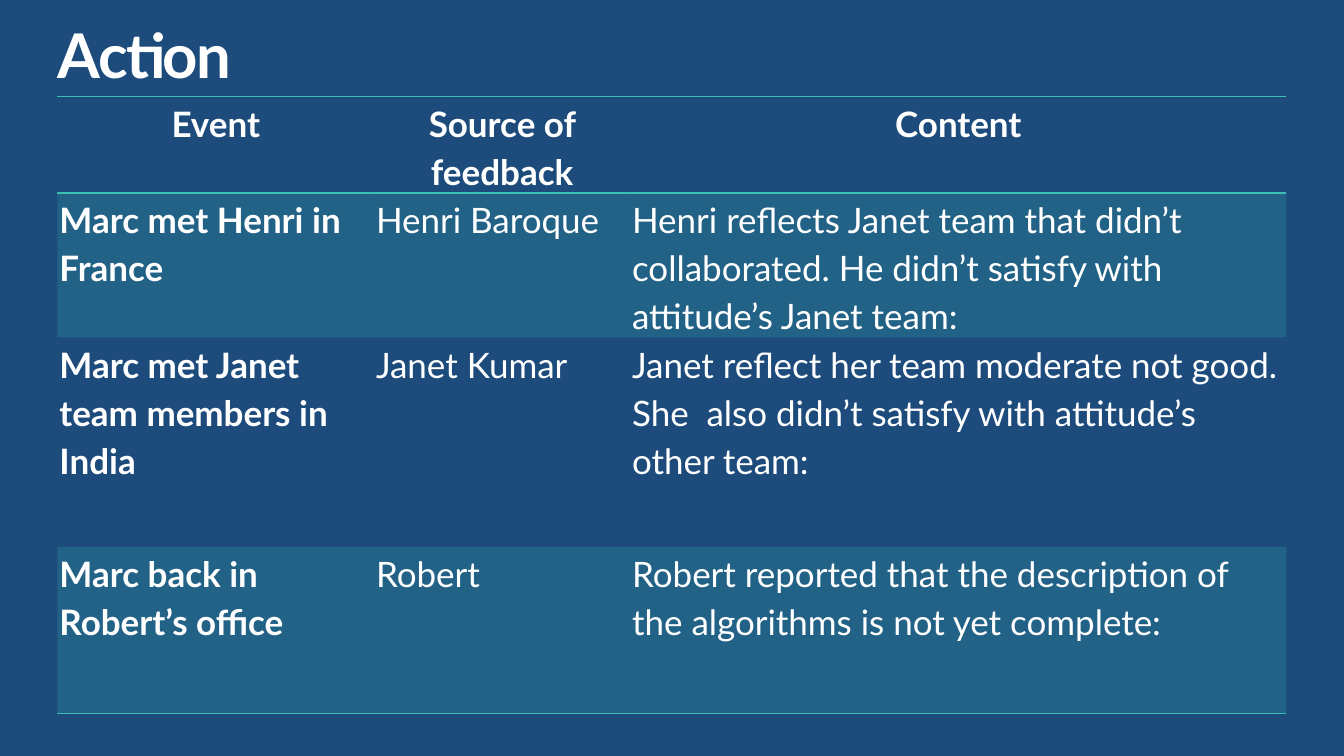
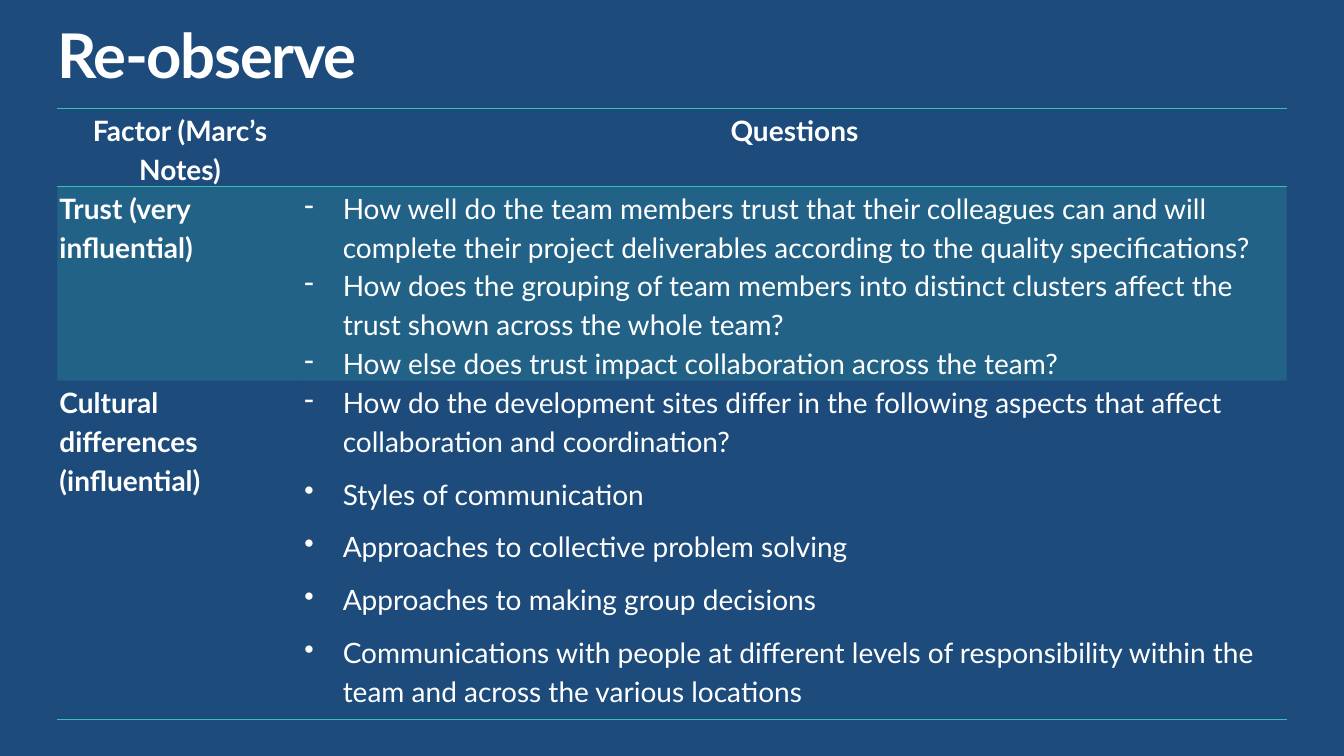
import pptx
import pptx.dml.color
import pptx.enum.text
import pptx.oxml
import pptx.oxml.ns
import pptx.util
from lxml import etree

COLOURS = {"background": "1D4C7C", "text": "FFFFFF", "accent": "3BBEB4"}
FONT = "Lato"
BAND_OPACITY = 20  # per cent
NO_GRID_STYLE = "{2D5ABB26-0587-4C30-8999-92F81FD0307C}"
ALIGN = pptx.enum.text.PP_ALIGN

# Page grid, in inches
PAGE_WIDTH, PAGE_HEIGHT = 13.33, 7.5
MARGIN = 0.57
CONTENT_WIDTH = PAGE_WIDTH - 2 * MARGIN
TITLE_TOP, TITLE_HEIGHT = 0.25, 0.67
CELL_INSET = 0.02
BULLET_INDENT = 0.38

# Each body cell is a text, or a list of (bullet, text) items
ACTION_ROWS = [
    ["Event", "Source of feedback", "Content"],
    ["Marc met Henri in France", "Henri Baroque",
     "Henri reflects Janet team that didn’t collaborated. He didn’t satisfy "
     "with attitude’s Janet team:"],
    ["Marc met Janet team members in India", "Janet Kumar",
     "Janet reflect her team moderate not good. She  also didn’t satisfy "
     "with attitude’s other team:"],
    ["Marc back in Robert’s office", "Robert",
     "Robert reported that the description of the algorithms is not yet complete:"],
]
REOBSERVE_ROWS = [
    ["Factor (Marc’s Notes)", "Questions"],
    ["Trust (very influential)", [
        ("-", "How well do the team members trust that their colleagues can and will "
              "complete their project deliverables according to the quality specifications?"),
        ("-", "How does the grouping of team members into distinct clusters affect the "
              "trust shown across the whole team?"),
        ("-", "How else does trust impact collaboration across the team?"),
    ]],
    ["Cultural differences (influential)", [
        ("-", "How do the development sites differ in the following aspects that affect "
              "collaboration and coordination?"),
        ("•", "Styles of communication"),
        ("•", "Approaches to collective problem solving"),
        ("•", "Approaches to making group decisions"),
        ("•", "Communications with people at different levels of responsibility within "
              "the team and across the various locations"),
    ]],
]


def inches(*values):
    return [pptx.util.Inches(value) for value in values]


def paint(fill, colour):
    fill.solid()
    fill.fore_color.rgb = pptx.dml.color.RGBColor.from_string(COLOURS[colour])


def style_text(paragraph, size, bold):
    for span in paragraph.runs:
        span.font.name = FONT
        span.font.size = pptx.util.Pt(size)
        span.font.bold = bold
        paint(span.font.fill, "text")


# Title
def add_page(deck, title):
    page = deck.slides.add_slide(deck.slide_layouts[5])
    box = page.shapes.title
    box.left, box.top, box.width, box.height = inches(
        MARGIN, TITLE_TOP, CONTENT_WIDTH, TITLE_HEIGHT)
    frame = box.text_frame
    frame.text = title
    frame.margin_left = frame.margin_right = frame.margin_top = frame.margin_bottom = 0
    frame.vertical_anchor = pptx.enum.text.MSO_ANCHOR.MIDDLE
    paragraph = frame.paragraphs[0]
    paragraph.alignment = ALIGN.LEFT
    paragraph.line_spacing = 0.9
    style_text(paragraph, 44, True)
    paragraph.runs[0].font._element.set("spc", "-100")
    return page


# Table cells
def add_border(cell, side):
    border = pptx.oxml.parse_xml(
        f'<a:{side} {pptx.oxml.ns.nsdecls("a")} w="12700"><a:solidFill>'
        f'<a:srgbClr val="{COLOURS["accent"]}"/></a:solidFill></a:{side}>')
    cell._tc.get_or_add_tcPr().insert(0, border)


def fill_band(cell):
    paint(cell.fill, "accent")
    qn = pptx.oxml.ns.qn
    colour = cell._tc.tcPr.find(".//" + qn("a:srgbClr"))
    etree.SubElement(colour, qn("a:alpha")).set("val", str(BAND_OPACITY * 1000))


def set_bullet(paragraph, bullet):
    properties = paragraph._p.get_or_add_pPr()
    indent = pptx.util.Inches(BULLET_INDENT)
    properties.set("marL", str(indent))
    properties.set("indent", str(-indent))
    etree.SubElement(properties, pptx.oxml.ns.qn("a:buChar")).set("char", bullet)


def write_cell(cell, content, size, bold, alignment):
    cell.margin_left = cell.margin_right = pptx.util.Inches(CELL_INSET)
    cell.margin_top = cell.margin_bottom = 0
    items = [("", content)] if isinstance(content, str) else content
    frame = cell.text_frame
    frame.text = "\n".join(text for _, text in items)
    for paragraph, (bullet, _) in zip(frame.paragraphs, items):
        paragraph.alignment = alignment
        paragraph.line_spacing = 1.15
        paragraph.space_before = pptx.util.Pt(10 if bullet == "•" else 0)
        style_text(paragraph, size, bold)
        if bullet:
            set_bullet(paragraph, bullet)


# Table with a ruled header, tinted odd rows and a closing rule
def add_ruled_table(page, rows, top, widths, heights, size):
    frame = page.shapes.add_table(
        len(rows), len(widths), *inches(MARGIN, top, CONTENT_WIDTH, sum(heights)))
    table = frame.table
    table._tbl.tblPr.find(pptx.oxml.ns.qn("a:tableStyleId")).text = NO_GRID_STYLE
    for column, width in zip(table.columns, inches(*widths)):
        column.width = width
    for row, height in zip(table.rows, inches(*heights)):
        row.height = height

    for row_index, contents in enumerate(rows):
        header = row_index == 0
        for column_index, content in enumerate(contents):
            cell = table.cell(row_index, column_index)
            write_cell(cell, content, size, header or column_index == 0,
                       ALIGN.CENTER if header else ALIGN.LEFT)
            if row_index % 2:
                fill_band(cell)
            else:
                cell.fill.background()
            if header or row_index == len(rows) - 1:
                add_border(cell, "lnB")
            if header:
                add_border(cell, "lnT")


def main():
    deck = pptx.Presentation()
    deck.slide_width, deck.slide_height = inches(PAGE_WIDTH, PAGE_HEIGHT)
    paint(deck.slide_master.background.fill, "background")

    add_ruled_table(add_page(deck, "Action"), ACTION_ROWS, top=0.96,
                    widths=[3.14, 2.54, 6.51], heights=[0.95, 1.43, 2.08, 1.65], size=25)
    add_ruled_table(add_page(deck, "Re-observe"), REOBSERVE_ROWS, top=1.08,
                    widths=[2.43, 9.76], heights=[0.77, 1.92, 3.36], size=20)

    deck.save("out.pptx")


if __name__ == "__main__":
    main()
